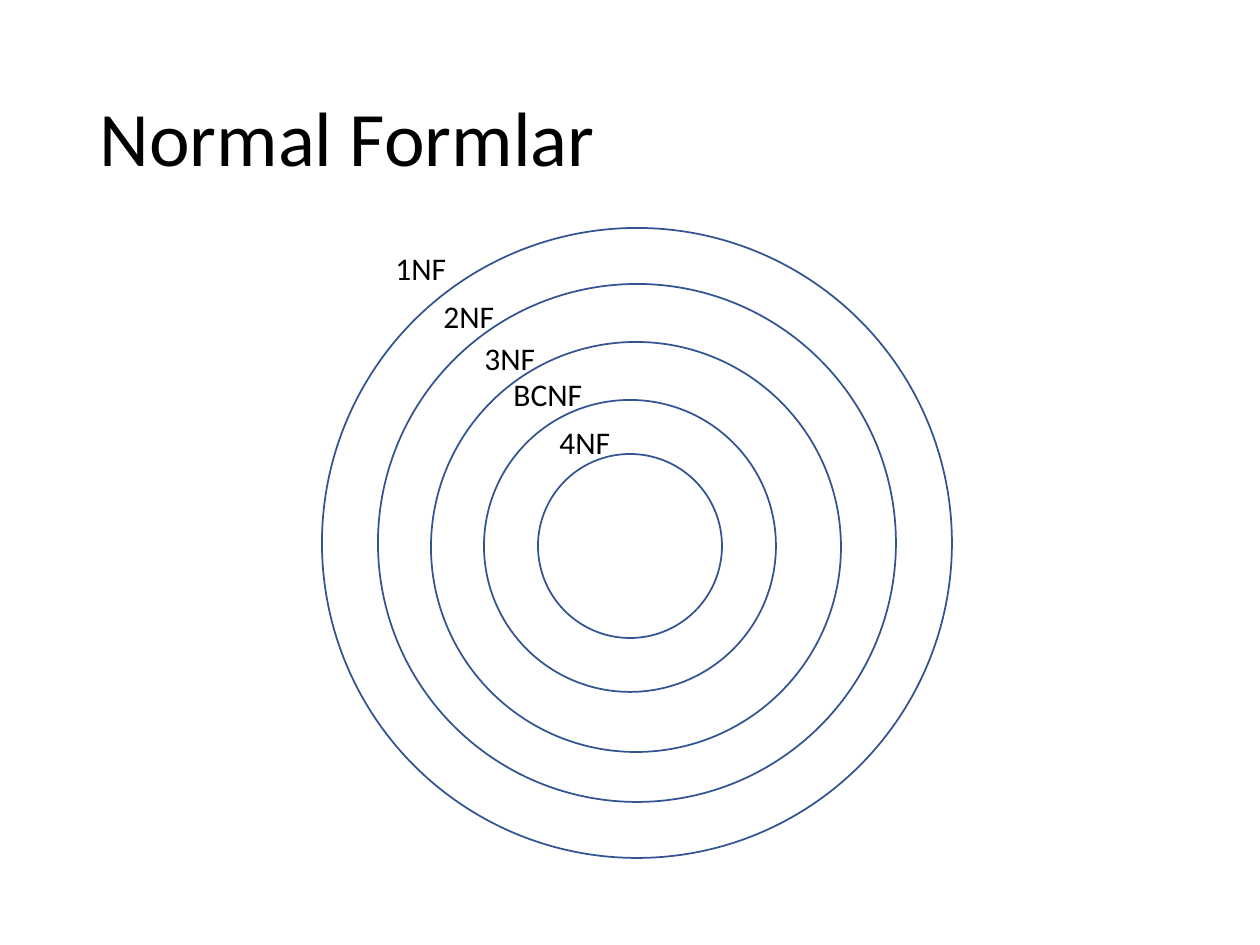
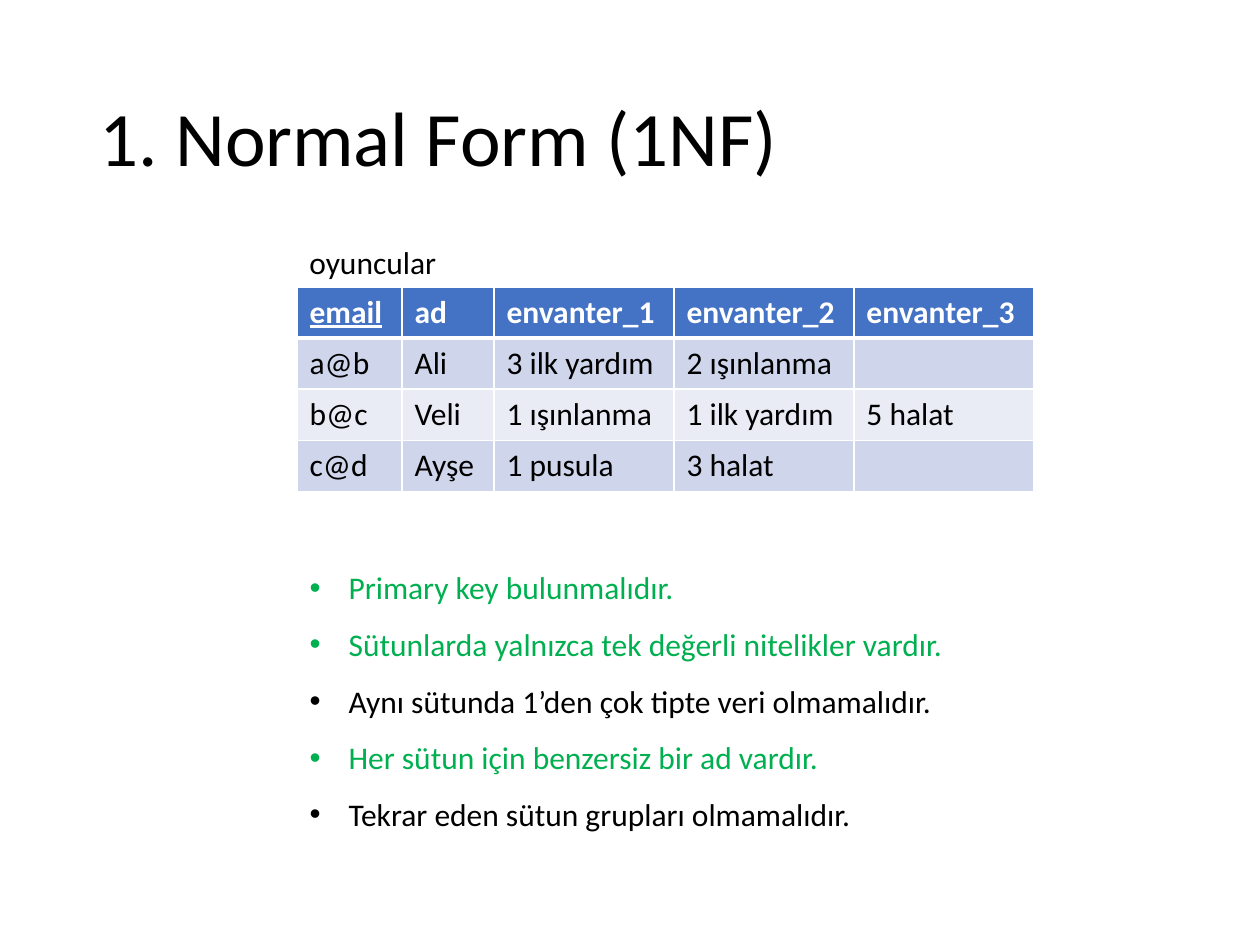
"""Builds two slides on database normal forms."""
import pptx
import pptx.util
import pptx.dml.color
import pptx.enum.shapes
import pptx.enum.text
import pptx.oxml.ns
from lxml import etree

RGB = pptx.dml.color.RGBColor
BLACK = RGB(0x00, 0x00, 0x00)
WHITE = RGB(0xFF, 0xFF, 0xFF)
GREEN = RGB(0x00, 0xB0, 0x50)
NAVY = RGB(0x32, 0x54, 0x91)
BLUE = RGB(0x44, 0x72, 0xC4)
BANDS = RGB(0xCF, 0xD5, 0xEA), RGB(0xE9, 0xEB, 0xF5)
FONT = "Calibri"
SCALE = 914400 / 126

SIZE = 1260, 945
TITLE = 87, 50, 1086, 183
LINE = 50

RINGS = [
    (322, 228, 630),
    (378, 284, 518),
    (431, 342, 410),
    (484, 400, 292),
    (538, 454, 184),
]
LABELS = [
    ("1NF", 383, 243, 77),
    ("2NF", 431, 291, 77),
    ("3NF", 472, 333, 77),
    ("BCNF", 501, 369, 95),
    ("4NF", 547, 417, 77),
]

CAPTION = ("oyuncular", 297, 237, 154)
ORIGIN = 297, 287
COLS = [105, 92, 180, 180, 180]
ROW = 51
ROWS = [
    ["email", "ad", "envanter_1", "envanter_2", "envanter_3"],
    ["a@b", "Ali", "3 ilk yardım", "2 ışınlanma", ""],
    ["b@c", "Veli", "1 ışınlanma", "1 ilk yardım", "5 halat"],
    ["c@d", "Ayşe", "1 pusula", "3 halat", ""],
]
KEY = "email"

LIST = 297, 543, 665, 294
INDENT = 39
RULES = [
    ("Primary key bulunmalıdır.", GREEN),
    ("Sütunlarda yalnızca tek değerli nitelikler vardır.", GREEN),
    ("Aynı sütunda 1’den çok tipte veri olmamalıdır.", BLACK),
    ("Her sütun için benzersiz bir ad vardır.", GREEN),
    ("Tekrar eden sütun grupları olmamalıdır.", BLACK),
]


def emu(px):
    return pptx.util.Emu(round(px * SCALE))


def place(shape, box):
    shape.left, shape.top, shape.width, shape.height = map(emu, box)


def style(para, color=BLACK, size=18, bold=False):
    font = para.font
    font.name, font.size, font.bold = FONT, pptx.util.Pt(size), bold
    font.color.rgb = color


def node(parent, tag, **attrs):
    return etree.SubElement(parent, pptx.oxml.ns.qn("a:" + tag), **attrs)


def start(deck, layout, text):
    slide = deck.slides.add_slide(deck.slide_layouts[layout])
    title = slide.shapes.title
    place(title, TITLE)
    frame = title.text_frame
    frame.text = text
    frame.vertical_anchor = pptx.enum.text.MSO_ANCHOR.MIDDLE
    para = frame.paragraphs[0]
    para.alignment = pptx.enum.text.PP_ALIGN.LEFT
    para.line_spacing = 0.9
    style(para, size=44)
    return slide


def label(slide, text, left, top, width):
    box = slide.shapes.add_textbox(*map(emu, (left, top, width, LINE)))
    frame = box.text_frame
    frame.word_wrap = False
    frame.auto_size = pptx.enum.text.MSO_AUTO_SIZE.SHAPE_TO_FIT_TEXT
    frame.text = text
    style(frame.paragraphs[0])


def ring(slide, left, top, size):
    oval = slide.shapes.add_shape(
        pptx.enum.shapes.MSO_SHAPE.OVAL, *map(emu, (left, top, size, size)))
    oval.shadow.inherit = False
    oval.fill.background()
    oval.line.color.rgb = NAVY
    oval.line.width = pptx.util.Pt(1)


def border(cell, head):
    props = cell._tc.get_or_add_tcPr()
    for side in "LRTB":
        width = pptx.util.Pt(3 if head and side == "B" else 1)
        line = node(props, "ln" + side, w=str(width))
        node(node(line, "solidFill"), "srgbClr", val=str(WHITE))


def grid(slide):
    box = (*ORIGIN, sum(COLS), ROW * len(ROWS))
    table = slide.shapes.add_table(len(ROWS), len(COLS), *map(emu, box)).table
    for col, width in zip(table.columns, COLS):
        col.width = emu(width)
    for r, row in enumerate(ROWS):
        head = r == 0
        for c, text in enumerate(row):
            cell = table.cell(r, c)
            border(cell, head)
            cell.fill.solid()
            cell.fill.fore_color.rgb = BLUE if head else BANDS[(r - 1) % 2]
            cell.text = text
            para = cell.text_frame.paragraphs[0]
            style(para, WHITE if head else BLACK, bold=head)
            if text == KEY:
                para.font.underline = True


def bullets(slide):
    body = slide.placeholders[1]
    place(body, LIST)
    frame = body.text_frame
    frame.auto_size = pptx.enum.text.MSO_AUTO_SIZE.NONE
    frame.text = "\n".join(text for text, _ in RULES)
    for para, (_, color) in zip(frame.paragraphs, RULES):
        props = para._p.get_or_add_pPr()
        props.set("marL", str(emu(INDENT)))
        props.set("indent", str(-emu(INDENT)))
        node(node(props, "buClr"), "srgbClr", val=str(color))
        node(props, "buFont", typeface="Arial")
        node(props, "buChar", char="•")
        para.line_spacing = 1.5
        para.space_before = pptx.util.Pt(0)
        style(para, color)


def main():
    deck = pptx.Presentation()
    deck.slide_width, deck.slide_height = map(emu, SIZE)

    forms = start(deck, 5, "Normal Formlar")
    for spot in RINGS:
        ring(forms, *spot)
    for item in LABELS:
        label(forms, *item)

    first = start(deck, 1, "1. Normal Form (1NF)")
    grid(first)
    label(first, *CAPTION)
    bullets(first)

    deck.save("out.pptx")


if __name__ == "__main__":
    main()
